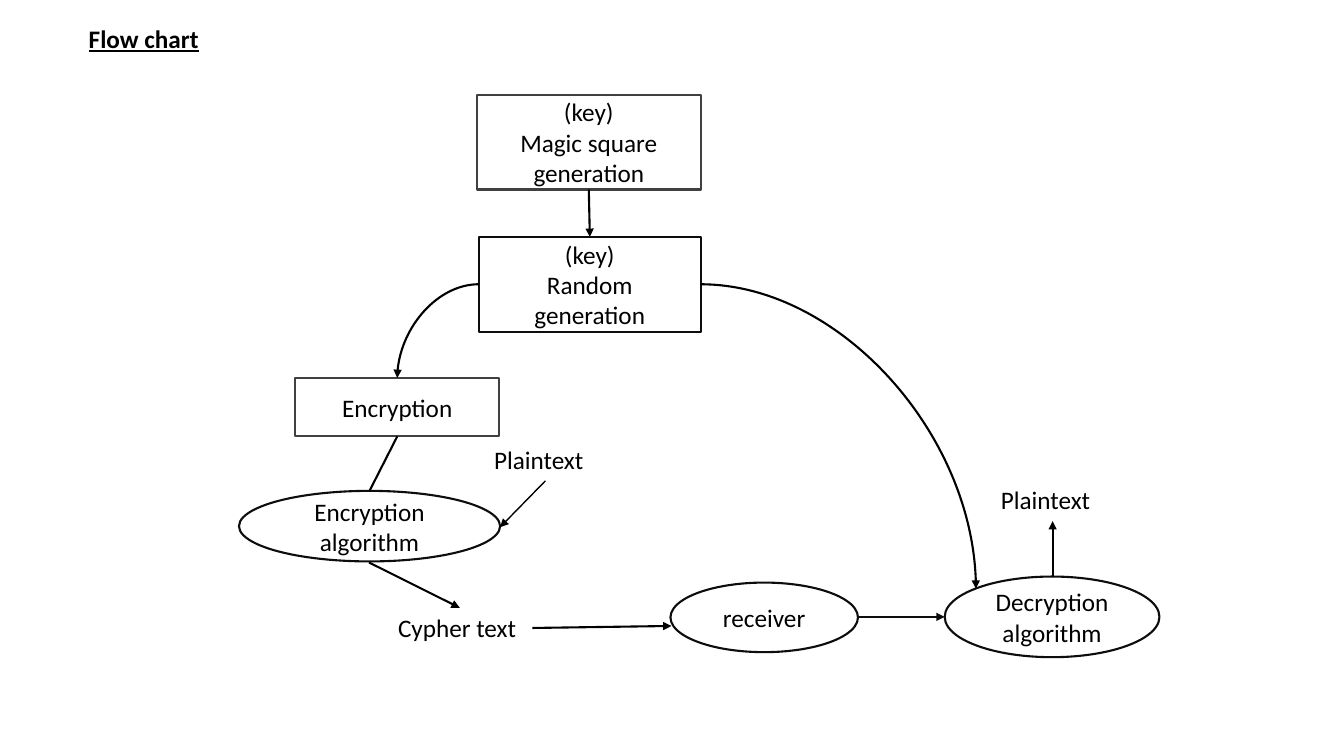
import pptx
import pptx.dml.color
import pptx.enum.shapes
import pptx.enum.text
import pptx.oxml
import pptx.oxml.ns
import pptx.util

PX = 9144
BLACK = pptx.dml.color.RGBColor(0x00, 0x00, 0x00)
INK = pptx.dml.color.RGBColor(0x0D, 0x0D, 0x0D)
GRAY = pptx.dml.color.RGBColor(0x40, 0x40, 0x40)
WHITE = pptx.dml.color.RGBColor(0xFF, 0xFF, 0xFF)
FONT = "Calibri"
NO_GRID_STYLE = "{2D5ABB26-0587-4C30-8999-92F81FD0307C}"
SHAPE = pptx.enum.shapes.MSO_SHAPE
CONNECTOR = pptx.enum.shapes.MSO_CONNECTOR
ALIGN = pptx.enum.text.PP_ALIGN
ANCHOR = pptx.enum.text.MSO_ANCHOR


def emu(*lengths):
    return [pptx.util.Emu(length * PX) for length in lengths]


def write(text_frame, lines, align=ALIGN.LEFT, heading=False):
    for index, line in enumerate(lines):
        paragraph = text_frame.add_paragraph() if index else text_frame.paragraphs[0]
        paragraph.alignment = align
        run = paragraph.add_run()
        run.text = line
        run.font.name = FONT
        run.font.size = pptx.util.Pt(18)
        run.font.color.rgb = BLACK
        run.font.bold = heading
        run.font.underline = heading


def add_title(slide, text, box):
    title = slide.shapes.title
    title.left, title.top, title.width, title.height = emu(*box)
    title.text_frame.vertical_anchor = ANCHOR.TOP
    write(title.text_frame, [text], heading=True)


def add_node(slide, kind, box, lines, line_color=INK):
    shape = slide.shapes.add_shape(kind, *emu(*box))
    shape.shadow.inherit = False
    shape.fill.solid()
    shape.fill.fore_color.rgb = WHITE
    shape.line.color.rgb = line_color
    shape.line.width = pptx.util.Pt(1.5)
    text_frame = shape.text_frame
    text_frame.word_wrap = True
    text_frame.vertical_anchor = ANCHOR.MIDDLE
    text_frame.margin_left, text_frame.margin_right = emu(12, 12)
    write(text_frame, lines, ALIGN.CENTER)
    return shape


def add_label(slide, box, text):
    text_box = slide.shapes.add_textbox(*emu(*box))
    text_box.text_frame.word_wrap = True
    write(text_box.text_frame, [text])


def add_table_label(slide, box, lines):
    table = slide.shapes.add_table(1, 1, *emu(*box)).table
    table.first_row = False
    table.horz_banding = False
    style = table._tbl.tblPr.find(pptx.oxml.ns.qn("a:tableStyleId"))
    style.text = NO_GRID_STYLE
    cell = table.cell(0, 0)
    cell.fill.background()
    write(cell.text_frame, lines)


def add_line(slide, start, end, color=BLACK, width=1.5, arrow=True, curved=False):
    kind = CONNECTOR.CURVE if curved else CONNECTOR.STRAIGHT
    connector = slide.shapes.add_connector(kind, *emu(*start, *end))
    connector.line.color.rgb = color
    connector.line.width = pptx.util.Pt(width)
    properties = connector._element.spPr
    if curved:
        geometry = properties.find(pptx.oxml.ns.qn("a:prstGeom"))
        geometry.set("prst", "curvedConnector2")
    if arrow:
        line = properties.find(pptx.oxml.ns.qn("a:ln"))
        tail = pptx.oxml.parse_xml(
            f'<a:tailEnd {pptx.oxml.ns.nsdecls("a")} type="triangle"/>')
        line.append(tail)
    effects = f'<a:effectLst {pptx.oxml.ns.nsdecls("a")}/>'
    properties.append(pptx.oxml.parse_xml(effects))
    return connector


def join_down(slide, upper, lower, start, end, arrow=True):
    connector = add_line(slide, start, end, arrow=arrow)
    connector.begin_connect(upper, 2)
    connector.end_connect(lower, 0)


def main():
    presentation = pptx.Presentation()
    presentation.slide_width, presentation.slide_height = emu(1333, 750)
    slide = presentation.slides.add_slide(presentation.slide_layouts[5])
    add_title(slide, "Flow chart", (78, 18, 152, 40))

    magic_square = add_node(slide, SHAPE.RECTANGLE, (473, 94, 222, 94),
                            ["(key)", "Magic square", "generation"], GRAY)
    random_key = add_node(slide, SHAPE.RECTANGLE, (475, 235, 220, 94),
                          ["(key)", "Random generation"])
    encryption = add_node(slide, SHAPE.RECTANGLE, (293, 375, 202, 58),
                          ["Encryption"], GRAY)
    encryption_algorithm = add_node(slide, SHAPE.OVAL, (237, 487, 259, 70),
                                    ["Encryption algorithm"])
    add_node(slide, SHAPE.OVAL, (665, 578, 186, 69), ["receiver"])
    add_node(slide, SHAPE.OVAL, (937, 572, 213, 80), ["Decryption algorithm"])

    join_down(slide, magic_square, random_key, (584, 188), (585, 235))
    join_down(slide, encryption, encryption_algorithm, (394, 433), (366, 487),
              arrow=False)
    add_line(slide, (475, 282), (394, 375), curved=True)
    add_line(slide, (366, 558), (456, 603))
    add_line(slide, (528, 623), (666, 621))
    add_line(slide, (851, 612), (937, 612), color=INK)
    add_line(slide, (1044, 572), (1044, 517))

    add_table_label(slide, (977, 477, 133, 41), [" Plaintext"])
    add_table_label(slide, (230, 492, 91, 41), [])
    add_table_label(slide, (480, 437, 124, 41), ["Plaintext"])
    add_line(slide, (541, 477), (496, 523), width=1)
    add_label(slide, (385, 603, 143, 40), "Cypher text")
    add_line(slide, (695, 282), (968, 584), curved=True)
    presentation.save("out.pptx")


if __name__ == "__main__":
    main()
